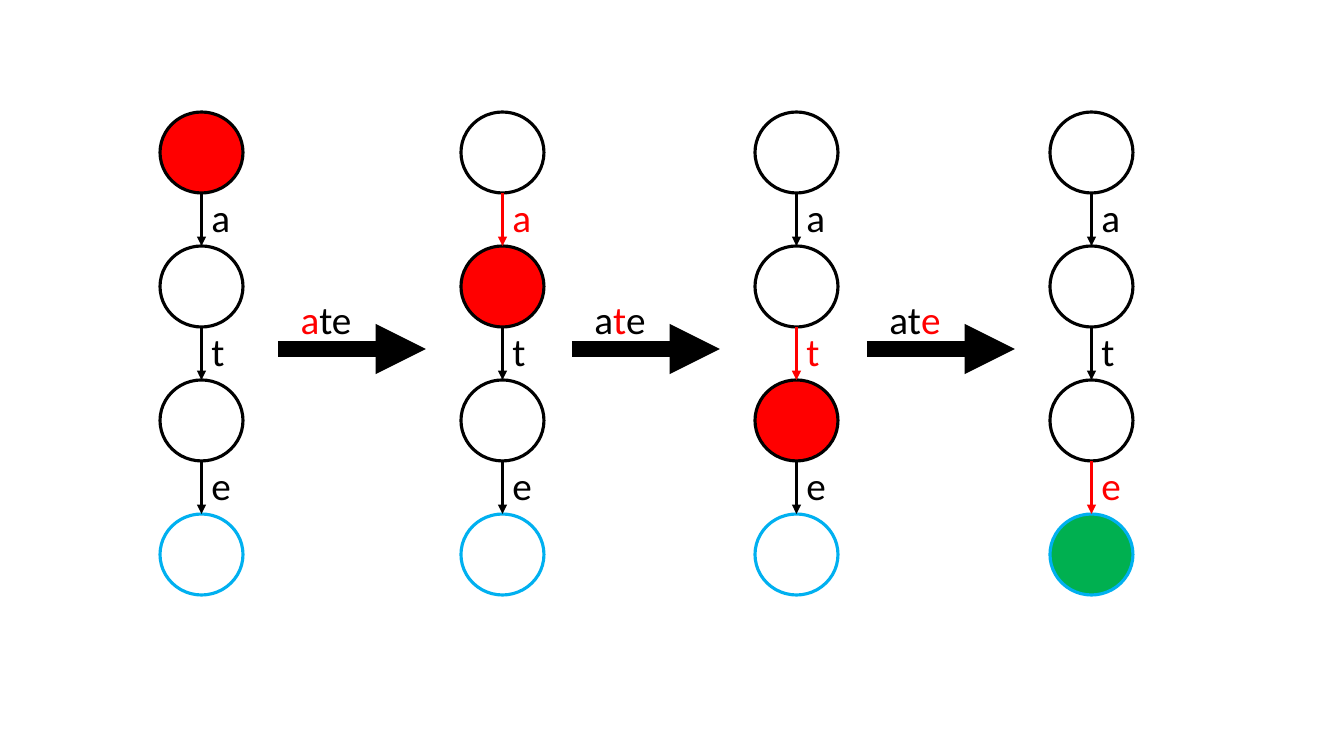
import pptx
import pptx.dml.color
import pptx.enum.shapes
import pptx.enum.text
import pptx.oxml.ns
import pptx.util
from lxml import etree

SCALE = 914400 / 100.8  # EMU in one pixel
COLORS = {"black": "000000", "active": "FF0000", "final": "00B0F0", "accepted": "00B050"}
WORD = "ate"
COLUMN_LEFTS = [160, 461, 755, 1050]
COLUMN_TOP = 112
CIRCLE_WIDTH, CIRCLE_HEIGHT = 83, 81
STATE_PITCH = 134
STEP_LENGTH, STEP_GAP, STEP_Y = 148, 35, 349


def emu(pixels):
    """Turn pixels into EMU."""
    return round(pixels * SCALE)


def rgb(name):
    """Look up a named colour."""
    return pptx.dml.color.RGBColor.from_string(COLORS[name])


def add_arrow(slide, start, end, color, weight):
    """Draw a straight line with a triangular head at its end."""
    connector = slide.shapes.add_connector(
        pptx.enum.shapes.MSO_CONNECTOR.STRAIGHT, *map(emu, (*start, *end)))
    connector.line.color.rgb = rgb(color)
    connector.line.width = pptx.util.Pt(weight)
    line = connector.line._get_or_add_ln()
    etree.SubElement(line, pptx.oxml.ns.qn("a:tailEnd"), type="triangle")
    etree.SubElement(connector._element.spPr, pptx.oxml.ns.qn("a:effectLst"))


def add_letters(slide, box, letters, active, centered=False):
    """Write letters in a box, with the letter at index active in red."""
    text_box = slide.shapes.add_textbox(*map(emu, box))
    frame = text_box.text_frame
    frame.word_wrap = True
    frame.auto_size = pptx.enum.text.MSO_AUTO_SIZE.SHAPE_TO_FIT_TEXT
    paragraph = frame.paragraphs[0]
    paragraph.font.name = "Calibri"
    paragraph.font.size = pptx.util.Pt(28)
    if centered:
        paragraph.alignment = pptx.enum.text.PP_ALIGN.CENTER
    for index, letter in enumerate(letters):
        run = paragraph.add_run()
        run.text = letter
        run.font.color.rgb = rgb("active" if index == active else "black")


def add_state(slide, left, top, fill, outline):
    """Draw one state circle, hollow when fill is None."""
    shape = slide.shapes.add_shape(
        pptx.enum.shapes.MSO_SHAPE.OVAL, *map(emu, (left, top, CIRCLE_WIDTH, CIRCLE_HEIGHT)))
    shape.shadow.inherit = False
    if fill:
        shape.fill.solid()
        shape.fill.fore_color.rgb = rgb(fill)
    else:
        shape.fill.background()
    shape.line.color.rgb = rgb(outline)
    shape.line.width = pptx.util.Pt(2.25)


def add_automaton(slide, left, top, current):
    """Draw the chain of states after current letters have been read."""
    center = left + CIRCLE_WIDTH / 2
    for state in range(len(WORD) + 1):
        state_top = top + state * STATE_PITCH
        is_final = state == len(WORD)
        highlight = "accepted" if is_final else "active"
        add_state(slide, left, state_top, highlight if state == current else None,
                  "final" if is_final else "black")
    for index, letter in enumerate(WORD):
        bottom = top + index * STATE_PITCH + CIRCLE_HEIGHT
        just_read = index == current - 1
        add_arrow(slide, (center, bottom), (center, top + (index + 1) * STATE_PITCH),
                  "active" if just_read else "black", 2.25)
        add_letters(slide, (center, bottom - 5, 35, 57), letter, 0 if just_read else None)


def add_step(slide, left, y, active):
    """Draw the thick arrow to the next automaton, with the word above it."""
    add_arrow(slide, (left, y), (left + STEP_LENGTH, y), "black", 12)
    add_letters(slide, (left, y - 59, 96, 57), WORD, active, centered=True)


presentation = pptx.Presentation()
presentation.slide_width = emu(1344)
presentation.slide_height = emu(756)
slide = presentation.slides.add_slide(presentation.slide_layouts[6])
for current, column_left in enumerate(COLUMN_LEFTS):
    if current > 0:
        add_step(slide, column_left - STEP_GAP - STEP_LENGTH, STEP_Y, current - 1)
    add_automaton(slide, column_left, COLUMN_TOP, current)
presentation.save("out.pptx")
